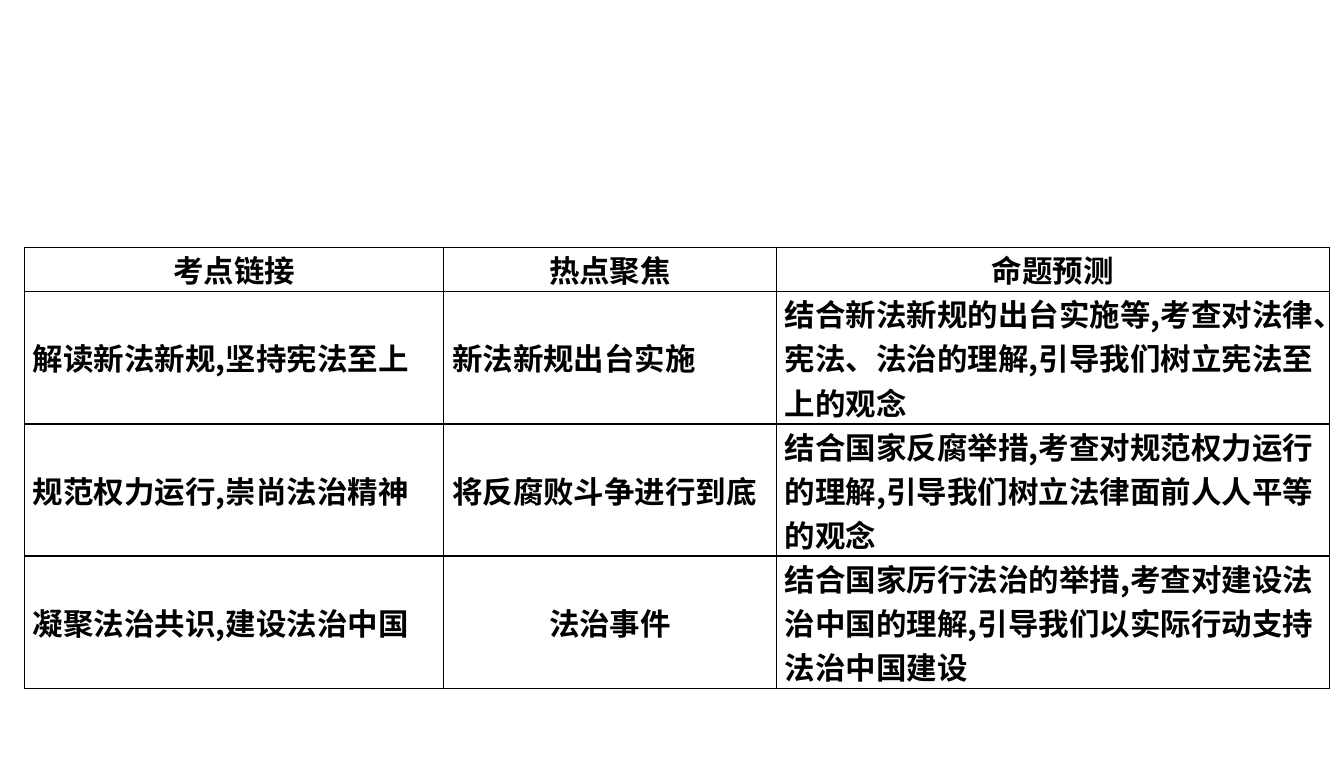
from lxml.etree import SubElement
from pptx import Presentation
from pptx.dml.color import RGBColor
from pptx.enum.text import MSO_ANCHOR, PP_ALIGN
from pptx.oxml.ns import qn
from pptx.util import Pt

COLORS = {"text": "000000", "border": "000000", "background": "FFFFFF"}
COLUMN_WIDTHS = [247.5, 196.5, 326.5]
ROW_HEIGHTS = [26, 78, 78, 78]
ROWS = [
    ["考点链接", "热点聚焦", "命题预测"],
    ["解读新法新规,坚持宪法至上", "新法新规出台实施",
     "结合新法新规的出台实施等,考查对法律、宪法、法治的理解,引导我们树立宪法至上的观念"],
    ["规范权力运行,崇尚法治精神", "将反腐败斗争进行到底",
     "结合国家反腐举措,考查对规范权力运行的理解,引导我们树立法律面前人人平等的观念"],
    ["凝聚法治共识,建设法治中国", "法治事件",
     "结合国家厉行法治的举措,考查对建设法治中国的理解,引导我们以实际行动支持法治中国建设"],
]
CENTERED = set(ROWS[0]) | {"法治事件"}


class SlideBuilder:
    """Holds the text style and the current slide."""

    font_name = "Noto Sans CJK SC"
    font_size = Pt(18)

    def __init__(self, slide):
        self.slide = slide

    def background(self, color):
        fill = self.slide.background.fill
        fill.solid()
        fill.fore_color.rgb = RGBColor.from_string(color)

    def table(self, left, top, widths, heights, rows):
        frame = self.slide.shapes.add_table(
            len(rows), len(widths), Pt(left), Pt(top), Pt(sum(widths)), Pt(sum(heights)))
        table = frame.table
        table.first_row = table.horz_banding = False
        for column, width in zip(table.columns, widths):
            column.width = Pt(width)
        for row, height, texts in zip(table.rows, heights, rows):
            row.height = Pt(height)
            for cell, text in zip(row.cells, texts):
                self.cell(cell, text)

    def cell(self, cell, text):
        cell.vertical_anchor = MSO_ANCHOR.MIDDLE
        cell.margin_left = cell.margin_right = Pt(5)
        cell.margin_top = cell.margin_bottom = Pt(0)
        self.borders(cell)
        cell.fill.background()

        paragraph = cell.text_frame.paragraphs[0]
        paragraph.alignment = PP_ALIGN.CENTER if text in CENTERED else PP_ALIGN.LEFT
        paragraph.line_spacing = 1.0
        run = paragraph.add_run()
        run.text = text
        font = run.font
        font.size = self.font_size
        font.bold = True
        font.color.rgb = RGBColor.from_string(COLORS["text"])
        font.name = self.font_name
        # Chinese characters take the East Asian typeface
        properties = run._r.get_or_add_rPr()
        properties.set("lang", "zh-CN")
        SubElement(properties, qn("a:ea"), typeface=self.font_name)

    def borders(self, cell):
        properties = cell._tc.get_or_add_tcPr()
        for side in ("L", "R", "T", "B"):
            line = SubElement(properties, qn(f"a:ln{side}"), w=str(Pt(1)))
            fill = SubElement(line, qn("a:solidFill"))
            SubElement(fill, qn("a:srgbClr"), val=COLORS["border"])


def main():
    presentation = Presentation()
    presentation.slide_width = Pt(793.5)
    presentation.slide_height = Pt(450)
    blank_layout = presentation.slide_layouts[6]
    builder = SlideBuilder(presentation.slides.add_slide(blank_layout))
    builder.background(COLORS["background"])

    # Topics, current issues and exam forecasts
    builder.table(14.4, 146, COLUMN_WIDTHS, ROW_HEIGHTS, ROWS)
    presentation.save("out.pptx")


if __name__ == "__main__":
    main()
